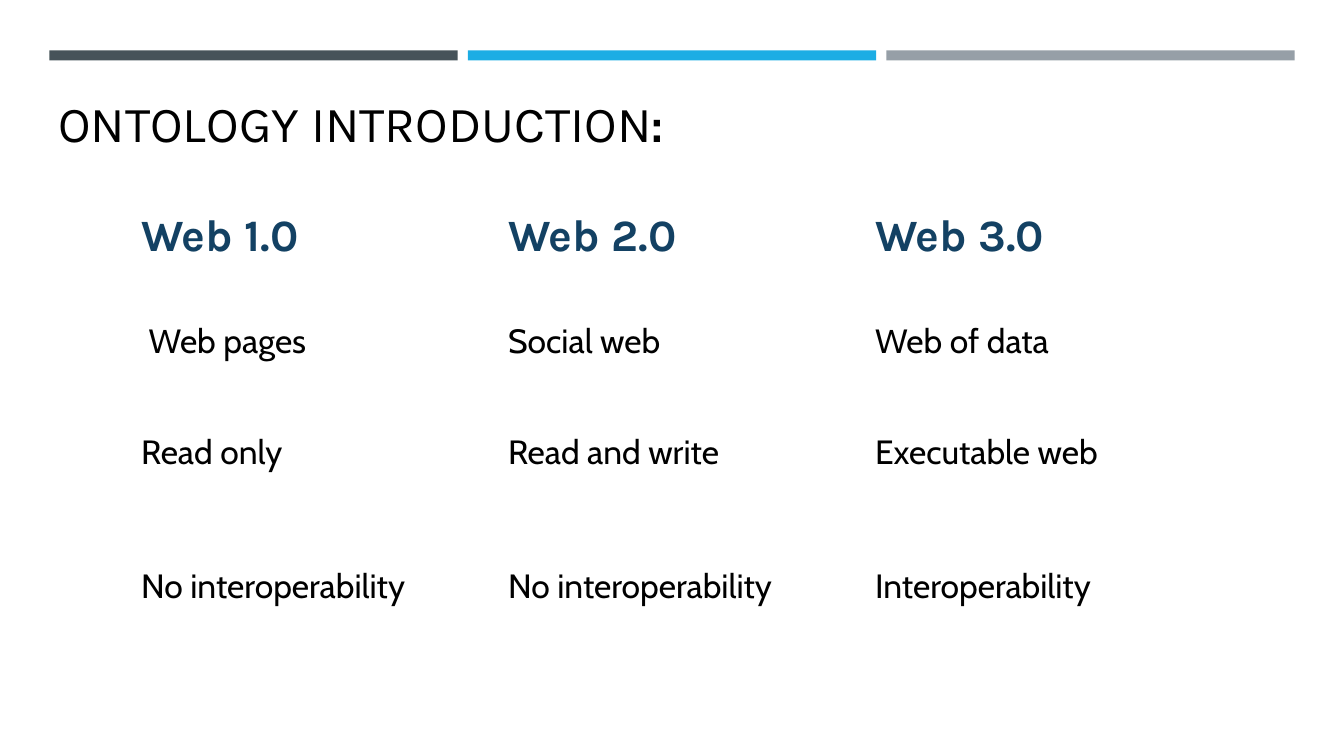
from pptx import Presentation
from pptx.dml.color import RGBColor
from pptx.enum import shapes, text
from pptx.util import Inches, Pt

# Content
BAR_COLORS = ["465359", "1CADE4", "969FA7"]
TITLE = [("ONTOLOGY INTRODUCTION", "Karla", False), (":", "Cabin", True)]
ROWS = [
    ["Web 1.0", "Web 2.0", "Web 3.0"],
    [" Web pages", "Social web", "Web of data"],
    ["Read only", "Read and write", "Executable web"],
    ["No interoperability", "No interoperability", "Interoperability"],
]
ROW_HEIGHTS = [1.1, 1.1, 1.33, 1.1]
COLUMN_WIDTH = 3.64
BAR_LEFT, BAR_WIDTH, BAR_STEP = 0.49, 4.05, 4.15


def color(value):
    return RGBColor.from_string(value)


def add_span(para, words, font, size, fill, bold=False):
    span = para.add_run()
    span.text = words
    span.font.name = font
    span.font.size = Pt(size)
    span.font.bold = bold
    span.font.color.rgb = color(fill)


deck = Presentation()
deck.slide_width, deck.slide_height = Inches(13.33), Inches(7.5)
page = deck.slides.add_slide(deck.slide_layouts[6])

# Bars along the top
for index, fill in enumerate(BAR_COLORS):
    bar = page.shapes.add_shape(
        shapes.MSO_SHAPE.RECTANGLE, Inches(BAR_LEFT + index * BAR_STEP),
        Inches(0.5), Inches(BAR_WIDTH), Inches(0.1))
    bar.shadow.inherit = False
    bar.fill.solid()
    bar.fill.fore_color.rgb = color(fill)
    bar.line.fill.background()

# Title
box = page.shapes.add_textbox(Inches(0.48), Inches(0.86), Inches(12.17), Inches(0.71))
box.text_frame.word_wrap = True
box.text_frame.vertical_anchor = text.MSO_ANCHOR.MIDDLE
for words, font, bold in TITLE:
    add_span(box.text_frame.paragraphs[0], words, font, 36, "000000", bold)

# Comparison table
table = page.shapes.add_table(
    len(ROWS), len(ROWS[0]), Inches(1.3), Inches(2.04),
    Inches(COLUMN_WIDTH * len(ROWS[0])), Inches(sum(ROW_HEIGHTS))).table
table.first_row = table.horz_banding = False
for column in table.columns:
    column.width = Inches(COLUMN_WIDTH)
for row_index, (row, height) in enumerate(zip(ROWS, ROW_HEIGHTS)):
    table.rows[row_index].height = Inches(height)
    for column_index, words in enumerate(row):
        cell = table.cell(row_index, column_index)
        cell.fill.background()
        para = cell.text_frame.paragraphs[0]
        if row_index == 0:
            add_span(para, words, "Karla", 32, "134163", True)
        else:
            add_span(para, words, "Cabin", 24, "000000")

deck.save("out.pptx")
